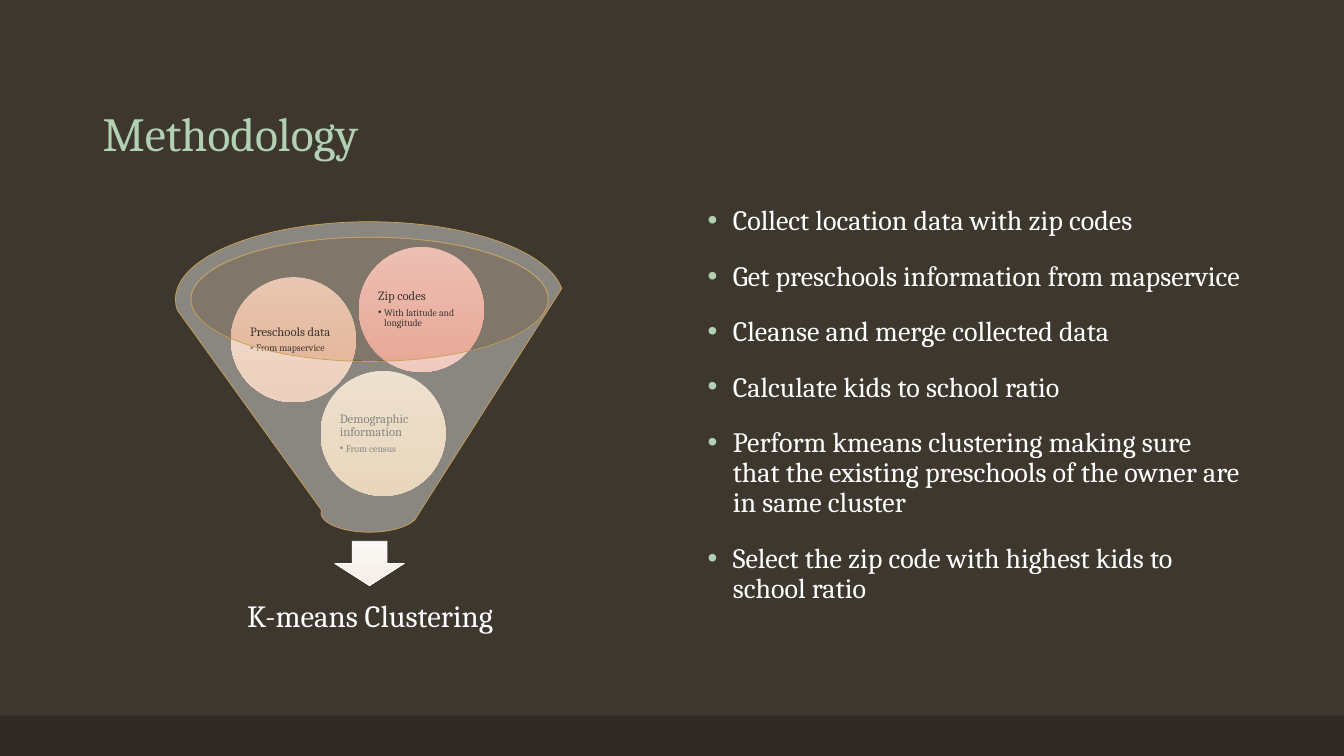
from dataclasses import dataclass

from lxml import etree
from pptx import Presentation
from pptx.dml.color import RGBColor
from pptx.enum.shapes import MSO_SHAPE
from pptx.enum.text import MSO_ANCHOR, PP_ALIGN
from pptx.oxml.ns import qn
from pptx.shapes.autoshape import Shape
from pptx.slide import Slide
from pptx.text.text import TextFrame, _Paragraph
from pptx.util import Inches, Pt

RECTANGLE = MSO_SHAPE.RECTANGLE
OVAL = MSO_SHAPE.OVAL
DOWN_ARROW = MSO_SHAPE.DOWN_ARROW
FUNNEL = MSO_SHAPE.FUNNEL
MIDDLE = MSO_ANCHOR.MIDDLE
BOTTOM = MSO_ANCHOR.BOTTOM
LEFT = PP_ALIGN.LEFT
CENTER = PP_ALIGN.CENTER

FONT = "Cambria"
COLORS = {
    "background": "3D372E",
    "footer": "2E2923",
    "accent": "B2D0B4",
    "text": "FFFFFF",
    "mouth": "E6D6C3",
    "funnel_edge": "C9A057",
    "arrow_top": "FBF8F5",
    "arrow_bottom": "F5EEE6",
    "demographic_top": "E2CDAF",
    "demographic_bottom": "DBBC90",
    "preschool_top": "E8C6B1",
    "preschool_bottom": "E2B193",
    "zip_top": "ECBFB3",
    "zip_bottom": "E8A695",
}
BALL_SIZE = 1.24


@dataclass
class Box:
    left: float
    top: float
    width: float
    height: float

    def lengths(self) -> list[int]:
        return [Inches(v) for v in (self.left, self.top, self.width, self.height)]


@dataclass
class DataSource:
    left: float
    top: float
    tint: str
    heading: str
    detail: str


SOURCES = [
    DataSource(3.18, 3.68, "demographic", "Demographic information", "From census"),
    DataSource(2.29, 2.75, "preschool", "Preschools data", "From mapservice"),
    DataSource(3.56, 2.45, "zip", "Zip codes", "With latitude and longitude"),
]
STEPS = [
    "Collect location data with zip codes",
    "Get preschools information from mapservice",
    "Cleanse and merge collected data",
    "Calculate kids to school ratio",
    "Perform kmeans clustering making sure that the existing preschools "
    "of the owner are in same cluster",
    "Select the zip code with highest kids to school ratio",
]


def color(name: str) -> RGBColor:
    return RGBColor.from_string(COLORS[name])


def add_plain_shape(slide: Slide, kind: MSO_SHAPE, box: Box) -> Shape:
    """Add a shape without shadow or outline."""
    shape = slide.shapes.add_shape(kind, *box.lengths())
    shape.shadow.inherit = False
    shape.line.fill.background()
    return shape


def fill_solid(shape: Shape, name: str, opacity: int = 100) -> None:
    shape.fill.solid()
    shape.fill.fore_color.rgb = color(name)
    if opacity < 100:
        rgb = shape.fill._xPr.find(f"{qn('a:solidFill')}/{qn('a:srgbClr')}")
        etree.SubElement(rgb, qn("a:alpha"), val=str(opacity * 1000))


def fill_downward(shape: Shape, tint: str) -> None:
    """Fill with a gradient running from the tint's top to its bottom colour."""
    shape.fill.gradient()
    shape.fill.gradient_angle = 270
    for stop, end in zip(shape.fill.gradient_stops, ("top", "bottom")):
        stop.color.rgb = color(f"{tint}_{end}")


def outline(shape: Shape, name: str) -> None:
    shape.line.color.rgb = color(name)
    shape.line.width = Pt(0.5)


def prepare_frame(frame: TextFrame, inset: float) -> None:
    frame.word_wrap = True
    frame.margin_left = frame.margin_right = Inches(inset)
    frame.margin_top = frame.margin_bottom = Inches(inset)


def write(frame: TextFrame, text: str, size: int, name: str,
          align: PP_ALIGN = LEFT) -> _Paragraph:
    """Write into the empty first paragraph, or into a new one after it."""
    first = frame.paragraphs[0]
    paragraph = frame.add_paragraph() if first.runs else first
    paragraph.alignment = align
    paragraph.line_spacing = 0.9
    run = paragraph.add_run()
    run.text = text
    run.font.name = FONT
    run.font.size = Pt(size)
    run.font.color.rgb = color(name)
    return paragraph


def add_bullet(paragraph: _Paragraph, indent: float, name: str) -> None:
    properties = paragraph._p.get_or_add_pPr()
    properties.set("marL", str(Inches(indent)))
    properties.set("indent", str(-Inches(indent)))
    bullet_color = etree.SubElement(properties, qn("a:buClr"))
    etree.SubElement(bullet_color, qn("a:srgbClr"), val=COLORS[name])
    etree.SubElement(properties, qn("a:buFont"), typeface="Arial")
    etree.SubElement(properties, qn("a:buChar"), char="•")


def add_source_ball(slide: Slide, source: DataSource) -> None:
    ball = add_plain_shape(
        slide, OVAL, Box(source.left, source.top, BALL_SIZE, BALL_SIZE))
    fill_downward(ball, source.tint)
    frame = ball.text_frame
    prepare_frame(frame, 0.01)
    frame.vertical_anchor = MIDDLE
    write(frame, source.heading, 9, "background").space_after = Pt(3)
    detail = write(frame, source.detail, 7, "background")
    detail.space_after = Pt(1)
    add_bullet(detail, 0.06, "background")


def add_text_area(slide: Slide, box: Box, inset_x: float, inset_y: float,
                  anchor: MSO_ANCHOR = MSO_ANCHOR.TOP) -> TextFrame:
    frame = slide.shapes.add_textbox(*box.lengths()).text_frame
    prepare_frame(frame, inset_x)
    frame.margin_top = frame.margin_bottom = Inches(inset_y)
    frame.vertical_anchor = anchor
    return frame


def add_funnel_diagram(slide: Slide) -> None:
    mouth = add_plain_shape(slide, OVAL, Box(1.89, 2.35, 3.55, 1.23))
    fill_solid(mouth, "mouth", 40)
    arrow = add_plain_shape(slide, DOWN_ARROW, Box(3.32, 5.37, 0.69, 0.44))
    fill_downward(arrow, "arrow")
    outline(arrow, "text")
    result = add_text_area(slide, Box(2.02, 5.72, 3.3, 0.82), 0.17, 0.17, MIDDLE)
    write(result, "K-means Clustering", 22, "text", CENTER)
    for source in SOURCES:
        add_source_ball(slide, source)
    funnel = add_plain_shape(slide, FUNNEL, Box(1.74, 2.2, 3.85, 3.08))
    fill_solid(funnel, "text", 40)
    outline(funnel, "funnel_edge")


def main() -> None:
    deck = Presentation()
    deck.slide_width, deck.slide_height = Inches(13.33), Inches(7.5)
    slide = deck.slides.add_slide(deck.slide_layouts[6])
    slide.background.fill.solid()
    slide.background.fill.fore_color.rgb = color("background")

    footer = add_plain_shape(slide, RECTANGLE, Box(0, 7.1, 13.33, 0.4))
    fill_solid(footer, "footer")
    title = add_text_area(slide, Box(0.92, 0.4, 11.5, 1.25), 0.1, 0.05, BOTTOM)
    write(title, "Methodology", 34, "accent")
    add_funnel_diagram(slide)
    steps = add_text_area(slide, Box(6.92, 2, 5.5, 4.76), 0.1, 0.05)
    for step in STEPS:
        paragraph = write(steps, step, 20, "text")
        paragraph.space_before = Pt(18)
        add_bullet(paragraph, 0.25, "accent")
    deck.save("out.pptx")


if __name__ == "__main__":
    main()
